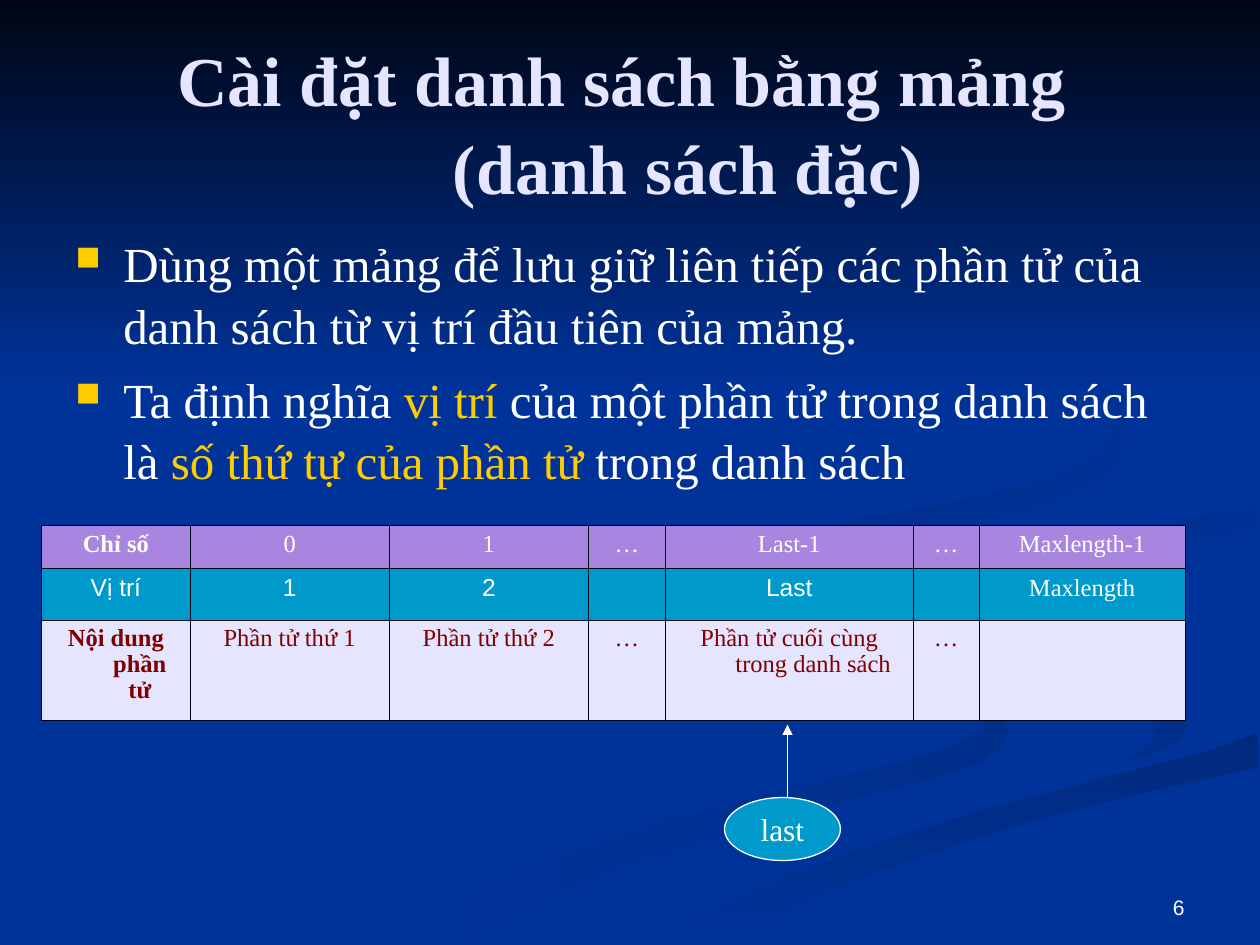
from pptx import Presentation
from pptx.dml.color import RGBColor
from pptx.enum.shapes import MSO_CONNECTOR, MSO_SHAPE
from pptx.enum.text import MSO_ANCHOR, PP_ALIGN
from pptx.oxml.ns import qn
from pptx.util import Pt
from lxml import etree

PX = 9144
CENTER, LEFT, RIGHT = PP_ALIGN.CENTER, PP_ALIGN.LEFT, PP_ALIGN.RIGHT
TOP, MIDDLE, BOTTOM = MSO_ANCHOR.TOP, MSO_ANCHOR.MIDDLE, MSO_ANCHOR.BOTTOM
STRAIGHT, OVAL = MSO_CONNECTOR.STRAIGHT, MSO_SHAPE.OVAL
SERIF, SANS = "Times New Roman", "Arial"
COLORS = {
    "blue": "003399", "night": "000514", "white": "FFFFFF", "lavender": "E5E5FF",
    "gold": "FFCC00", "purple": "A886E0", "cyan": "0099CC", "maroon": "800000",
    "shade_soft": "002E8B", "shade_deep": "002A7D", "shade_mid": "002D86", "shade_dark": "002B82",
}

LEFT_RIBBON = [
    (781, 553), (757, 543), (731, 533), (682, 519), (642, 507), (614, 496), (594, 485),
    (583, 477), (576, 469), (575, 459), (570, 468), (572, 476), (586, 487), (611, 499),
    (654, 513), (697, 525), (741, 539), (770, 551), (783, 559), (786, 566), (780, 579),
    (759, 590), (727, 602), (684, 613), (616, 629), (539, 649), (458, 674), (376, 707),
    (300, 749), (361, 749), (431, 714), (499, 687), (564, 665), (623, 647), (676, 634),
    (740, 618), (780, 605), (795, 592), (800, 581), (795, 567),
]
RIGHT_RIBBON = [
    (943, 570), (935, 557), (919, 547), (888, 535), (850, 524), (792, 509), (758, 498),
    (733, 483), (725, 469), (724, 464), (725, 474), (733, 488), (746, 500), (766, 512),
    (797, 524), (838, 536), (868, 544), (892, 553), (907, 562), (917, 576), (914, 589),
    (900, 601), (894, 605), (916, 597), (932, 589), (941, 581),
]
LOWER_RIBBON = [
    (519, 747), (503, 749), (571, 749), (600, 733), (649, 710), (695, 692), (752, 672),
    (821, 651), (903, 630), (998, 609), (998, 581), (976, 590), (936, 602), (867, 620),
    (797, 638), (764, 647), (696, 669), (630, 693), (569, 719),
]
MIDDLE_RIBBON = [
    (725, 464), (731, 479), (745, 490), (775, 503), (831, 519), (889, 535), (920, 547),
    (939, 562), (943, 575), (936, 587), (919, 597), (892, 605), (843, 618), (780, 634),
    (704, 655), (619, 684), (526, 724), (477, 749), (503, 749), (519, 747), (570, 719),
    (630, 693), (696, 669), (765, 647), (832, 629), (904, 610), (964, 594), (999, 581),
    (999, 538), (959, 531), (904, 519), (848, 503), (804, 485), (786, 473), (781, 463),
    (792, 447), (822, 434), (865, 424), (933, 415), (999, 402), (999, 387), (942, 399),
    (874, 408), (808, 417), (770, 427), (742, 439), (730, 449),
]
EDGE_RIBBON = [
    (781, 460), (782, 469), (791, 478), (806, 487), (826, 496), (812, 487), (805, 476),
    (809, 466), (828, 453), (859, 443), (896, 435), (954, 426), (998, 420), (998, 402),
    (933, 415), (865, 424), (821, 433), (791, 447),
]
UPPER_RIBBON = [
    (683, 430), (764, 417), (825, 402), (867, 384), (889, 362), (893, 335), (880, 307),
    (854, 283), (810, 256), (762, 233), (826, 266), (870, 299), (889, 335), (876, 360),
    (842, 378), (763, 398), (676, 414), (615, 429), (584, 446), (577, 462), (584, 479),
    (604, 492), (622, 500), (601, 485), (593, 470), (601, 456), (624, 444),
]


class SlideBuilder:
    def __init__(self, slide):
        self.slide = slide

    def color(self, name):
        return RGBColor.from_string(COLORS[name])

    def paint(self, fill, name):
        fill.solid()
        fill.fore_color.rgb = self.color(name)

    def freeform(self, points, start, end=None, angle=0):
        builder = self.slide.shapes.build_freeform(*points[0], scale=PX)
        builder.add_line_segments(points[1:], close=True)
        shape = builder.convert_to_shape()
        shape.shadow.inherit = False
        shape.line.fill.background()
        if end is None:
            self.paint(shape.fill, start)
            return
        shape.fill.gradient()
        shape.fill.gradient_angle = (360 - angle) % 360
        for stop, name in zip(shape.fill.gradient_stops, (start, end)):
            stop.color.rgb = self.color(name)

    def add_runs(self, paragraph, runs, size, font=SERIF, align=LEFT, bold=False,
                 indent=0, bullet=None, spacing=None):
        properties = paragraph._p.get_or_add_pPr()
        if indent:
            properties.set("marL", str(indent * PX))
            properties.set("indent", str(-indent * PX))
        paragraph.alignment = align
        if spacing:
            paragraph.line_spacing = spacing
        if bullet:
            color = etree.SubElement(properties, qn("a:buClr"))
            etree.SubElement(color, qn("a:srgbClr"), val=COLORS[bullet])
            etree.SubElement(properties, qn("a:buSzPct"), val="70000")
            etree.SubElement(properties, qn("a:buChar"), char="■")
        paragraph.font.size = Pt(size)
        for text, name in runs:
            if text == "\n":
                paragraph.add_line_break()
                continue
            run = paragraph.add_run()
            run.text = text
            run.font.name, run.font.size, run.font.bold = font, Pt(size), bold
            run.font.color.rgb = self.color(name)

    def text(self, box, paragraphs, size, anchor=TOP, inset=5, gap=0, **style):
        shape = self.slide.shapes.add_textbox(*(value * PX for value in box))
        frame = shape.text_frame
        frame.word_wrap = True
        frame.vertical_anchor = anchor
        frame.margin_top = inset * PX
        for index, runs in enumerate(paragraphs):
            paragraph = frame.add_paragraph() if index else frame.paragraphs[0]
            if index:
                paragraph.space_before = Pt(gap)
            self.add_runs(paragraph, runs, size, **style)

    def border(self, cell, name, width):
        properties = cell._tc.get_or_add_tcPr()
        for position, side in enumerate(("lnL", "lnR", "lnT", "lnB")):
            line = etree.Element(qn(f"a:{side}"), w=str(Pt(width)))
            fill = etree.SubElement(line, qn("a:solidFill"))
            etree.SubElement(fill, qn("a:srgbClr"), val=COLORS[name])
            properties.insert(position, line)

    def table(self, left, top, widths, heights, rows, fills, inks, size):
        table = self.slide.shapes.add_table(
            len(rows), len(widths), left * PX, top * PX,
            sum(widths) * PX, sum(heights) * PX).table
        table.first_row = table.horz_banding = False
        for column, width in zip(table.columns, widths):
            column.width = width * PX
        for r, texts in enumerate(rows):
            table.rows[r].height = heights[r] * PX
            for c, text in enumerate(texts):
                cell = table.cell(r, c)
                self.paint(cell.fill, fills[r])
                self.border(cell, "night", 0.45)
                position_row = r == 1
                sans = position_row and text != "Maxlength"
                self.add_runs(cell.text_frame.paragraphs[0], [(text, inks[r])] if text else [],
                              size, font=SANS if sans else SERIF, align=CENTER,
                              bold=c == 0 and not position_row,
                              indent=0 if position_row else 38,
                              spacing=None if position_row else 0.96)

    def ellipse(self, box, text, size):
        shape = self.slide.shapes.add_shape(OVAL, *(value * PX for value in box))
        shape.shadow.inherit = False
        self.paint(shape.fill, "cyan")
        shape.line.color.rgb = self.color("white")
        shape.line.width = Pt(0.75)
        shape.text_frame.word_wrap = False
        shape.text_frame.vertical_anchor = MIDDLE
        self.add_runs(shape.text_frame.paragraphs[0], [(text, "white")], size, align=CENTER)

    def arrow(self, *ends):
        connector = self.slide.shapes.add_connector(STRAIGHT, *(value * PX for value in ends))
        connector.line.color.rgb = self.color("white")
        connector.line.width = Pt(0.75)
        properties = connector._element.spPr
        etree.SubElement(properties.find(qn("a:ln")), qn("a:tailEnd"), type="triangle")
        etree.SubElement(properties, qn("a:effectLst"))


def main():
    presentation = Presentation()
    presentation.slide_width, presentation.slide_height = 1000 * PX, 750 * PX
    slide = presentation.slides.add_slide(presentation.slide_layouts[6])
    builder = SlideBuilder(slide)
    builder.paint(slide.background.fill, "blue")
    builder.freeform(LEFT_RIBBON, "blue", "shade_soft")
    builder.freeform(RIGHT_RIBBON, "blue", "shade_soft", 45)
    builder.freeform(LOWER_RIBBON, "shade_deep", "blue", 90)
    builder.freeform(MIDDLE_RIBBON, "blue")
    builder.freeform(EDGE_RIBBON, "shade_mid", "blue", 45)
    builder.freeform(UPPER_RIBBON, "shade_dark", "blue", 45)
    builder.freeform([(0, 0), (0, 308), (1000, 308), (1000, 0)], "night", "blue", 90)

    builder.text((717, 683, 233, 52), [[("6", "white")]], 12, anchor=BOTTOM, font=SANS, align=RIGHT)
    builder.text((50, 30, 900, 125),
                 [[("Cài đặt danh sách bằng mảng ", "lavender"), ("\n", None),
                   ("(danh sách đặc)", "lavender")]],
                 40, anchor=MIDDLE, inset=11, align=CENTER, bold=True, indent=92, spacing=1.05)
    builder.text((50, 175, 908, 233), [
        [("Dùng một mảng để lưu giữ liên tiếp các phần tử của danh sách từ vị trí "
          "đầu tiên của mảng.", "white")],
        [("Ta định nghĩa ", "white"), ("vị trí", "gold"),
         (" của một phần tử trong danh sách là ", "white"),
         ("số thứ tự của phần tử", "gold"), (" trong danh sách", "white")],
    ], 28, inset=8, gap=7, indent=38, bullet="gold", spacing=1.05)
    builder.table(33, 417, (118, 158, 158, 61, 197, 52, 164), (34, 41, 80), [
        ("Chỉ số", "0", "1", "…", "Last-1", "…", "Maxlength-1"),
        ("Vị trí", "1", "2", "", "Last", "", "Maxlength"),
        ("Nội dung phần tử", "Phần tử thứ 1", "Phần tử thứ 2", "…",
         "Phần tử cuối cùng trong danh sách", "…", ""),
    ], ("purple", "cyan", "lavender"), ("white", "white", "maroon"), 14)
    builder.ellipse((575, 633, 92, 50), "last", 18)
    builder.arrow(625, 633, 625, 575)
    presentation.save("out.pptx")


if __name__ == "__main__":
    main()
